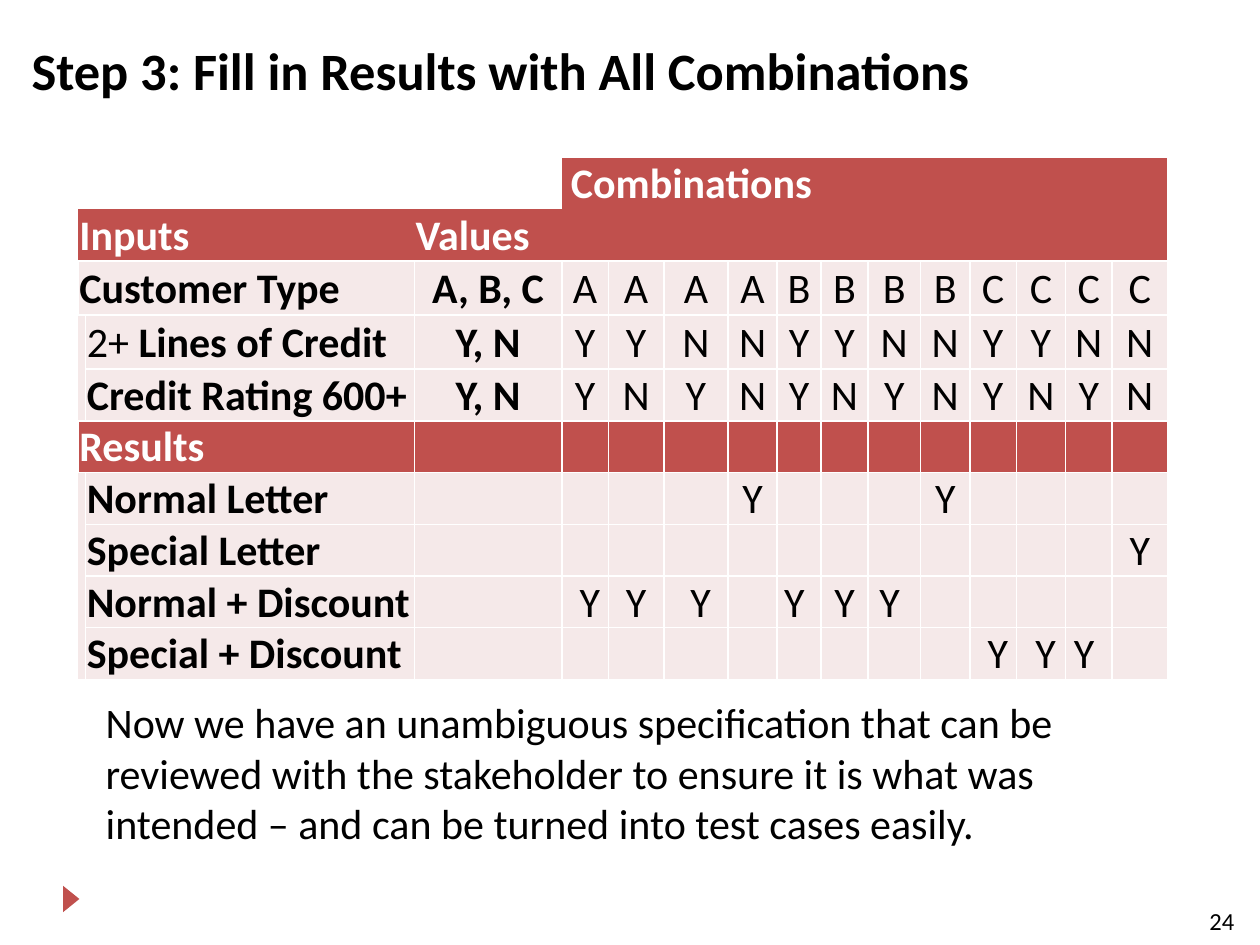
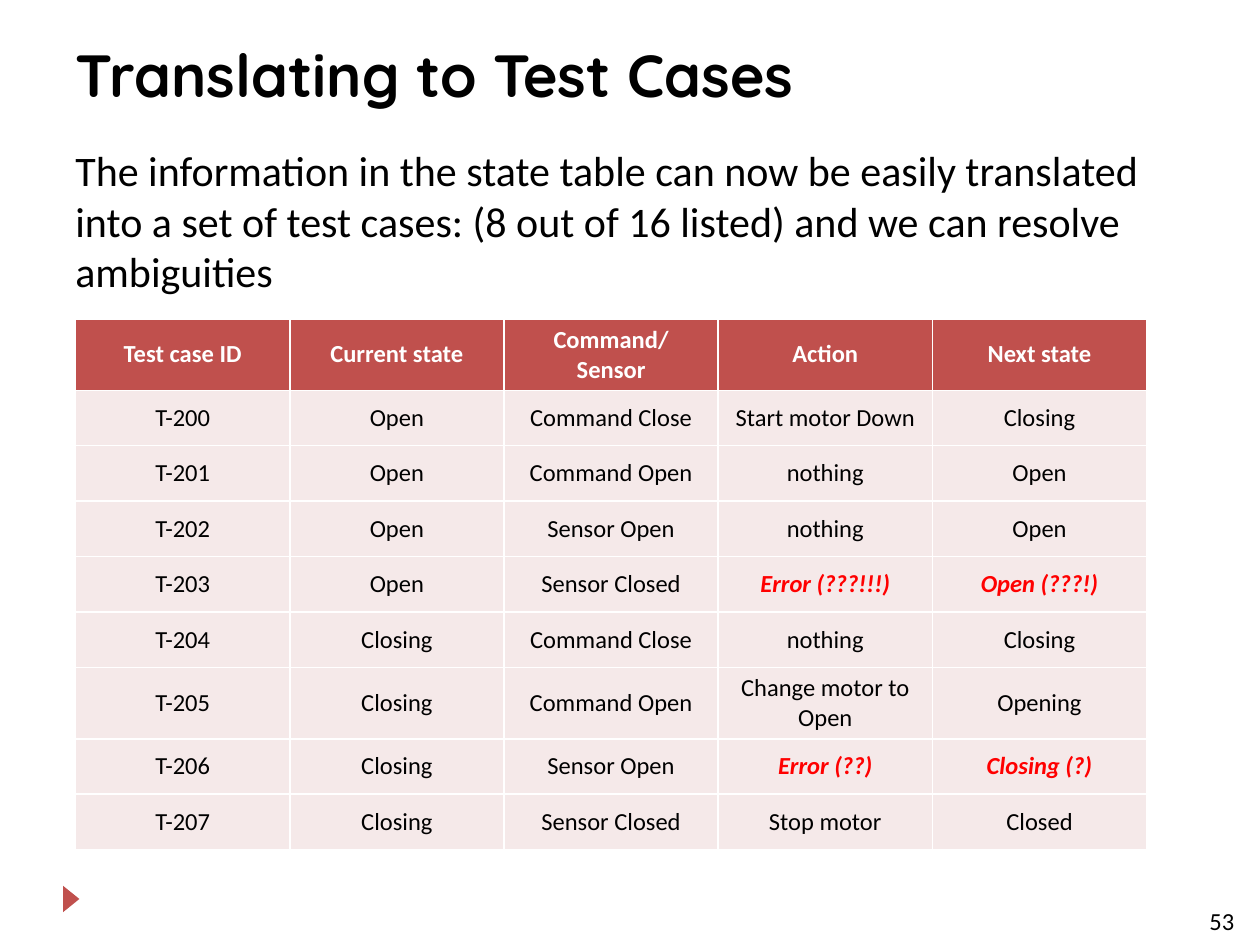
from dataclasses import dataclass

from lxml import etree
from pptx import Presentation
from pptx.dml.color import RGBColor
from pptx.enum.shapes import MSO_SHAPE
from pptx.enum.text import MSO_ANCHOR, PP_ALIGN
from pptx.oxml.ns import qn
from pptx.util import Inches, Pt

TRIANGLE = MSO_SHAPE.ISOSCELES_TRIANGLE
TOP, MIDDLE, BOTTOM = MSO_ANCHOR.TOP, MSO_ANCHOR.MIDDLE, MSO_ANCHOR.BOTTOM
LEFT, CENTER = PP_ALIGN.LEFT, PP_ALIGN.CENTER
TITLE_ONLY = 5
PLAIN_TABLE = "{2D5ABB26-0587-4C30-8999-92F81FD0307C}"
ALL_SIDES = "LRTB"
NBSP = chr(160)


@dataclass(frozen=True)
class Theme:
    accent: str = "C0504D"
    tint: str = "F5E9E9"
    white: str = "FFFFFF"
    black: str = "000000"
    alert: str = "FF0000"
    font: str = "Calibri"
    display_font: str = "Quicksand"
    title: int = 30
    display_title: int = 34
    body: int = 24
    small: int = 14
    border: int = 1


THEME = Theme()

RULE_COLUMNS = [0.04, 2.61, 1.17, 0.37, 0.44, 0.51, 0.39, 0.35,
                0.37, 0.42, 0.39, 0.37, 0.39, 0.37, 0.44]
RULE_ROWS = [0.41, 0.41, 0.43, 0.43] + [0.41] * 6
RULE_HEADS = {0: [(3, "Combinations")], 1: [(0, "Inputs"), (2, "Values")],
              5: [(0, "Results")]}
INPUTS = {
    2: (0, [("Customer Type", True)], "A, B, C", "AAAABBBBCCCC"),
    3: (1, [("2+", False), (" Lines of Credit", True)], "Y, N", "YYNN" * 3),
    4: (1, [("Credit Rating 600+", True)], "Y, N", "YN" * 6),
}
RESULTS = {
    6: ("Normal Letter", "|||Y||||Y||||"),
    7: ("Special Letter", "|||||||||||Y"),
    8: ("Normal + Discount", " Y|Y| Y||Y |Y|Y |||||"),
    9: ("Special + Discount", "|||||||| Y| Y|Y |"),
}
FIRST_RULE = 3

TEST_HEADS = ["Test case ID", "Current state", "Command/ Sensor", "Action",
              "Next state"]
TEST_CASES = [
    ("Open", "Command Close", "Start motor Down", "Closing"),
    ("Open", "Command Open", "nothing", "Open"),
    ("Open", "Sensor Open", "nothing", "Open"),
    ("Open", "Sensor Closed", "Error (???!!!)", "Open (???!)"),
    ("Closing", "Command Close", "nothing", "Closing"),
    ("Closing", "Command Open", "Change motor to Open", "Opening"),
    ("Closing", "Sensor Open", "Error (??)", "Closing (?)"),
    ("Closing", "Sensor Closed", "Stop motor", "Closed"),
]


def add_run(p, text, size, color=THEME.black, font=THEME.font, bold=False,
            italic=False):
    r = p.add_run()
    r.text = text
    r.font.size = Pt(size)
    r.font.name = font
    r.font.bold = bold
    r.font.italic = italic
    r.font.color.rgb = RGBColor.from_string(color)


def add_text(slide, box, text, size):
    tf = slide.shapes.add_textbox(*map(Inches, box)).text_frame
    tf.word_wrap = True
    add_run(tf.paragraphs[0], text, size)


def set_title(slide, text, box, size, font):
    sp = slide.shapes.title
    sp.left, sp.top, sp.width, sp.height = map(Inches, box)
    tf = sp.text_frame
    tf.word_wrap = True
    tf.vertical_anchor = TOP
    p = tf.paragraphs[0]
    p.alignment = LEFT
    add_run(p, text, size, font=font, bold=True)


def add_marker(slide, layout):
    sp = slide.shapes.add_shape(TRIANGLE, Inches(0.46), Inches(7.07),
                                Inches(0.21), Inches(0.13))
    sp.rotation = 90
    sp.shadow.inherit = False
    sp.fill.solid()
    sp.fill.fore_color.rgb = RGBColor.from_string(THEME.accent)
    sp.line.fill.background()
    layout.shapes._spTree.append(sp._element)


def add_number(slide, number):
    add_text(slide, (9.5, 7.14, 0.45, 0.25), number, THEME.small)


def add_grid(slide, left, top, columns, rows):
    frame = slide.shapes.add_table(
        len(rows), len(columns), Inches(left), Inches(top),
        Inches(sum(columns)), Inches(sum(rows)))
    table = frame.table
    table.first_row = table.horz_banding = False
    table._tbl.tblPr.find(qn("a:tableStyleId")).text = PLAIN_TABLE
    for col, width in zip(table.columns, columns):
        col.width = Inches(width)
    for row, height in zip(table.rows, rows):
        row.height = Inches(height)
    return table


def style_cell(cell, fill, sides=ALL_SIDES, anchor=MIDDLE, tight=False):
    tcPr = cell._tc.get_or_add_tcPr()
    for side in sides:
        ln = etree.SubElement(tcPr, qn("a:ln" + side), w=str(Pt(THEME.border)))
        solid = etree.SubElement(ln, qn("a:solidFill"))
        etree.SubElement(solid, qn("a:srgbClr"), val=THEME.white)
    if fill:
        cell.fill.solid()
        cell.fill.fore_color.rgb = RGBColor.from_string(fill)
    else:
        cell.fill.background()
    cell.vertical_anchor = anchor
    if tight:
        cell.margin_left = cell.margin_right = cell.margin_top = Inches(0.01)
        cell.margin_bottom = 0


def write_cell(cell, text, size, align=CENTER, **style):
    p = cell.text_frame.paragraphs[0]
    p.alignment = align
    add_run(p, text, size, **style)


def rule_cell_sides(row, col):
    if row == 0:
        return ""
    if row == 1:
        return "B"
    if col == 0 and row not in (2, 5):
        return "R"
    return ALL_SIDES


def add_decision_table(slide):
    table = add_grid(slide, 0.62, 1.25, RULE_COLUMNS, RULE_ROWS)
    for row in range(len(RULE_ROWS)):
        for col in range(len(RULE_COLUMNS)):
            fill = THEME.accent if row in RULE_HEADS else THEME.tint
            if row == 0 and col < FIRST_RULE:
                fill = None
            style_cell(table.cell(row, col), fill, rule_cell_sides(row, col),
                       BOTTOM, tight=True)
    table.cell(0, FIRST_RULE).merge(table.cell(0, 7))
    for row in (1, 2, 5):
        table.cell(row, 0).merge(table.cell(row, 1))
    table.cell(1, 2).vertical_anchor = MIDDLE

    for row, heads in RULE_HEADS.items():
        for col, text in heads:
            write_cell(table.cell(row, col), text, THEME.body,
                       LEFT if row else CENTER, color=THEME.white, bold=True)
    for row, (label_col, label, values, marks) in INPUTS.items():
        for text, bold in label:
            write_cell(table.cell(row, label_col), text, THEME.body, LEFT,
                       bold=bold)
        write_cell(table.cell(row, 2), values, THEME.body, bold=True)
        for col, mark in enumerate(marks, FIRST_RULE):
            write_cell(table.cell(row, col), mark, THEME.body)
    for row, (label, marks) in RESULTS.items():
        write_cell(table.cell(row, 1), label, THEME.body, LEFT, bold=True)
        for col, mark in enumerate(marks.split("|"), FIRST_RULE):
            if mark:
                write_cell(table.cell(row, col), mark.replace(" ", NBSP),
                           THEME.body)


def add_test_table(slide):
    rows = [TEST_HEADS] + [(f"T-{number}", *case)
                           for number, case in enumerate(TEST_CASES, 200)]
    heights = [0.56 if "Change motor to Open" in row or row is TEST_HEADS
               else 0.44 for row in rows]
    table = add_grid(slide, 0.6, 2.53, [1.7] * len(TEST_HEADS), heights)
    for r_index, row in enumerate(rows):
        for c_index, text in enumerate(row):
            cell = table.cell(r_index, c_index)
            head, unclear = r_index == 0, "?" in text
            style_cell(cell, THEME.accent if head else THEME.tint)
            color = THEME.white if head else THEME.black
            write_cell(cell, text, THEME.small,
                       color=THEME.alert if unclear else color,
                       bold=head or unclear, italic=unclear)


def build_results_slide(slide):
    set_title(slide, "Step 3: Fill in Results with All Combinations",
              (0.15, 0.25, 9.35, 1), THEME.title, THEME.font)
    add_text(slide, (0.74, 5.48, 8.51, 1.31),
             "Now we have an unambiguous specification that can be reviewed "
             "with the stakeholder to ensure it is what was intended – and "
             "can be turned into test cases easily.", THEME.body)
    add_decision_table(slide)
    add_number(slide, "24")


def build_test_slide(slide):
    set_title(slide, "Translating to Test Cases", (0.5, 0.25, 7.92, 1),
              THEME.display_title, THEME.display_font)
    add_text(slide, (0.5, 1.1, 9, 1.31),
             "The information in the state table can now be easily translated "
             "into a set of test cases: (8 out of 16 listed) and we can "
             "resolve ambiguities", THEME.body)
    add_test_table(slide)
    add_number(slide, "53")


def main():
    prs = Presentation()
    prs.slide_width, prs.slide_height = Inches(10), Inches(7.5)
    layout = prs.slide_layouts[TITLE_ONLY]
    results_slide = prs.slides.add_slide(layout)
    test_slide = prs.slides.add_slide(layout)
    add_marker(results_slide, layout)
    build_results_slide(results_slide)
    build_test_slide(test_slide)
    prs.save("out.pptx")


if __name__ == "__main__":
    main()
